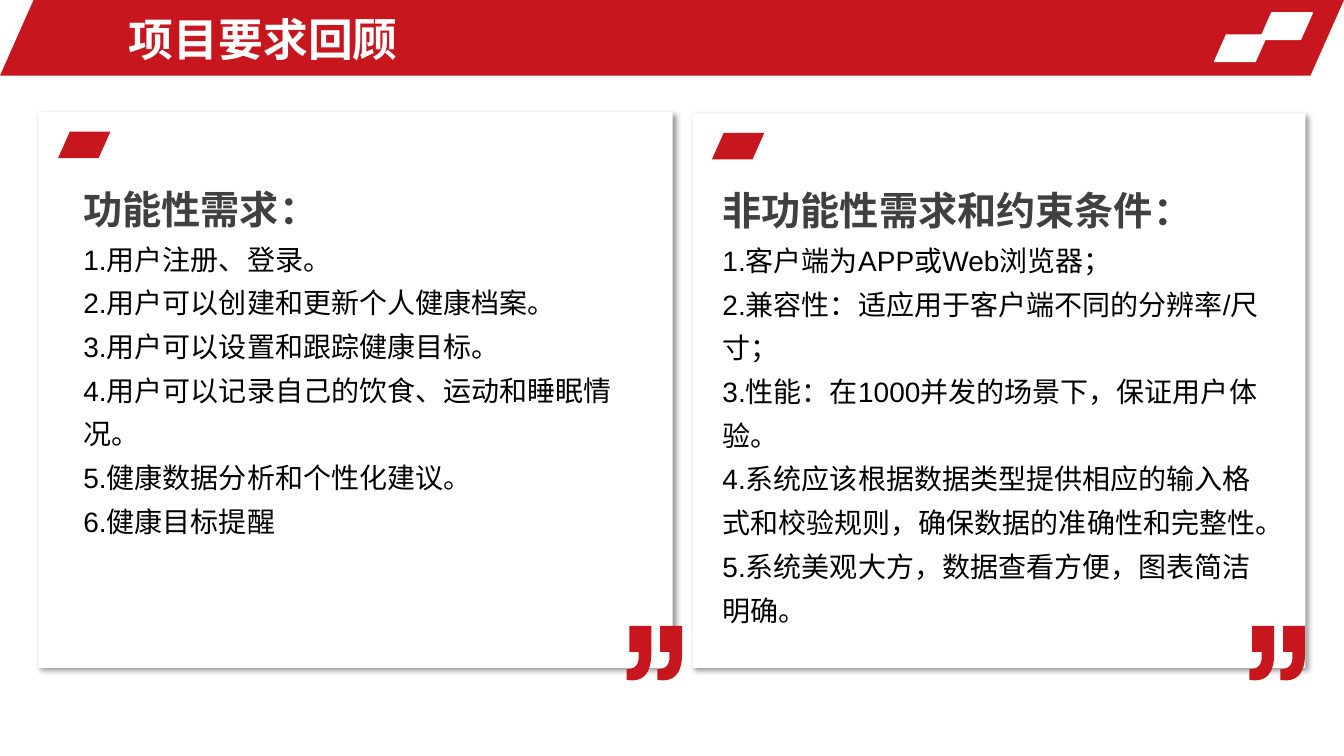
import pptx
import pptx.util
import pptx.dml.color
import pptx.enum.shapes
import pptx.enum.text
import pptx.oxml

Pt = pptx.util.Pt
SHAPE = pptx.enum.shapes.MSO_SHAPE
COLORS = {"red": "C8161E", "white": "FFFFFF", "heading": "404040", "text": "000000"}
FONT = "Arial"
SLANT = 0.444
BADGE_W, BADGE_H = 37.4, 18.9
SHADOW = (
    '<a:effectLst xmlns:a="http://schemas.openxmlformats.org/drawingml/2006/main">'
    '<a:outerShdw blurRad="50800" dist="38100" dir="2700000" algn="tl" rotWithShape="0">'
    '<a:srgbClr val="000000"><a:alpha val="40000"/></a:srgbClr>'
    '</a:outerShdw></a:effectLst>'
)

FUNCTIONAL = [
    "1.用户注册、登录。",
    "2.用户可以创建和更新个人健康档案。",
    "3.用户可以设置和跟踪健康目标。",
    "4.用户可以记录自己的饮食、运动和睡眠情况。",
    "5.健康数据分析和个性化建议。",
    "6.健康目标提醒",
]
CONSTRAINTS = [
    "1.客户端为APP或Web浏览器；",
    "2.兼容性：适应用于客户端不同的分辨率/尺寸；",
    "3.性能：在1000并发的场景下，保证用户体验。",
    "4.系统应该根据数据类型提供相应的输入格式和校验规则，确保数据的准确性和完整性。",
    "5.系统美观大方，数据查看方便，图表简洁明确。",
]


def rgb(name):
    return pptx.dml.color.RGBColor.from_string(COLORS[name])


def paint(sp, fill, line=None):
    sp.shadow.inherit = False
    sp.fill.solid()
    sp.fill.fore_color.rgb = rgb(fill)
    if line:
        sp.line.color.rgb = rgb(line)
        sp.line.width = Pt(1)
    else:
        sp.line.fill.background()


def add_preset(s, kind, x, y, w, h, adj, fill, line=None):
    sp = s.shapes.add_shape(kind, Pt(x), Pt(y), Pt(w), Pt(h))
    sp.adjustments[0] = adj
    paint(sp, fill, line)
    return sp


def add_run(p, text, size, color, bold=False):
    r = p.add_run()
    r.text = text
    r.font.name, r.font.size, r.font.bold = FONT, Pt(size), bold
    r.font.color.rgb = rgb(color)


def add_textbox(s, x, y, w, h):
    tf = s.shapes.add_textbox(Pt(x), Pt(y), Pt(w), Pt(h)).text_frame
    tf.word_wrap = True
    return tf


def curve(p0, p1, p2, p3, steps=12):
    """Points along a cubic Bezier curve, without its start."""
    points = []
    for i in range(1, steps + 1):
        t = i / steps
        weights = ((1 - t) ** 3, 3 * t * (1 - t) ** 2, 3 * t * t * (1 - t), t ** 3)
        points.append(tuple(sum(k * p[axis] for k, p in zip(weights, (p0, p1, p2, p3)))
                            for axis in (0, 1)))
    return points


def quote_marks(s, x, y):
    """Closing double quotation mark, 40 by 39 points."""
    mark = [(2, 0), (17.7, 0), (17.7, 20)]
    mark += curve((17.7, 20), (17.7, 32.5), (13, 39), (4, 39))
    mark += [(0, 38.7), (0, 31)]
    mark += curve((0, 31), (6, 31), (8.7, 28), (8.7, 22.5))
    mark += [(8.7, 18.7), (2, 18.7)]
    left, right = ([(Pt(x + dx + px), Pt(y + py)) for px, py in mark] for dx in (0, 22))
    fb = s.shapes.build_freeform(*left[0], scale=1.0)
    fb.add_line_segments(left[1:], close=True)
    fb.move_to(*right[0])
    fb.add_line_segments(right[1:], close=True)
    paint(fb.convert_to_shape(), "red")


def header(s, x, y, w, h, title):
    add_preset(s, SHAPE.PARALLELOGRAM, x, y, w, h, SLANT, "red")
    for right, top in ((60, 9.2), (92.4, 25)):
        add_preset(s, SHAPE.PARALLELOGRAM, x + w - right, y + top, BADGE_W, BADGE_H,
                   SLANT, "white", "white")
    tf = add_textbox(s, x + 85, y + 4, 557, h - 7)
    tf.vertical_anchor = pptx.enum.text.MSO_ANCHOR.MIDDLE
    add_run(tf.paragraphs[0], title, 32, "white", True)


def card(s, x, y, w, h, heading, items, text_dx, text_w, overhang):
    """White card with badge, list and a quotation mark past its right edge."""
    sp = add_preset(s, SHAPE.ROUNDED_RECTANGLE, x, y, w, h, 0, "white")
    sp_pr = sp._element.spPr
    for empty in sp_pr.findall(pptx.oxml.ns.qn("a:effectLst")):
        sp_pr.remove(empty)
    sp_pr.append(pptx.oxml.parse_xml(SHADOW))
    add_preset(s, SHAPE.PARALLELOGRAM, x + 14, y + 14, BADGE_W, BADGE_H, SLANT, "red")
    tf = add_textbox(s, x + text_dx, y + 38.5, text_w, h - 50)
    for i, text in enumerate([heading] + items):
        p = tf.add_paragraph() if i else tf.paragraphs[0]
        p.line_spacing = 1.3
        if i:
            add_run(p, text, 20, "text")
        else:
            add_run(p, text, 28, "heading", True)
    quote_marks(s, x + w + overhang - 40, y + h - 30)


def main():
    prs = pptx.Presentation()
    prs.slide_width, prs.slide_height = Pt(960), Pt(540)
    s = prs.slides.add_slide(prs.slide_layouts[6])
    header(s, 0, 0, 960, 54, "项目要求回顾")
    card(s, 494.5, 81, 438, 396, "非功能性需求和约束条件：", CONSTRAINTS, 14.5, 399, 0)
    card(s, 27.5, 80, 453, 397, "功能性需求：", FUNCTIONAL, 25, 403, 7)
    prs.save("out.pptx")


if __name__ == "__main__":
    main()
